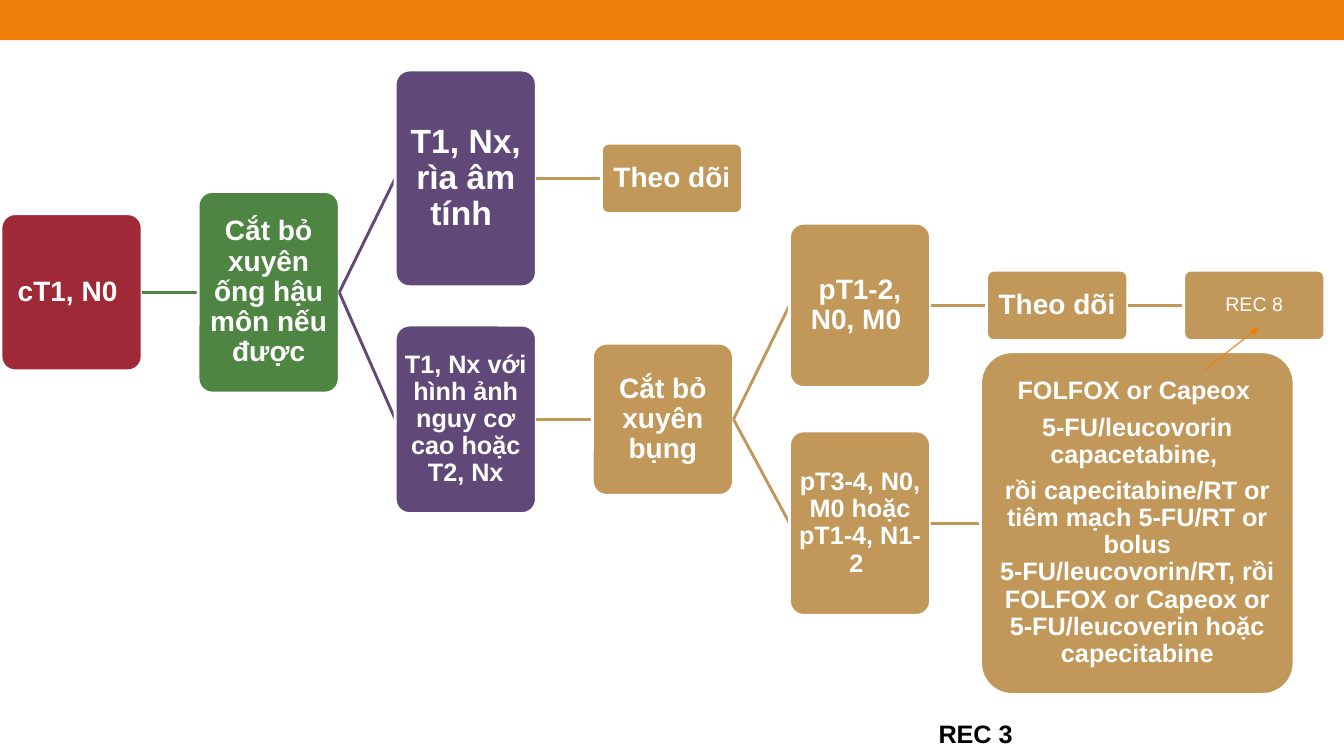
from lxml import etree
from pptx import Presentation
from pptx import util as u
from pptx.dml.color import RGBColor
from pptx.enum import shapes, text
from pptx.oxml.ns import qn

RED, GREEN, PURPLE, TAN = "9F2936", "4E8542", "604878", "C19859"
ORANGE, WHITE, BLACK = "F07F09", "FFFFFF", "000000"
COLUMN_START, COLUMN_PITCH, BOX_WIDTH = 0.01, 1.955, 1.4
LINE_WIDTH = 2.08
TREATMENT = [
    "FOLFOX or Capeox ",
    "5-FU/leucovorin capacetabine, ",
    "rồi capecitabine/RT or tiêm mạch 5-FU/RT or bolus\v5-FU/leucovorin/RT, rồi "
    "FOLFOX or Capeox or 5-FU/leucoverin hoặc capecitabine",
]
# name: parent, column, shift, middle, width, height, margin, fill, size, bold, lines
STEPS = {
    "stage": (None, 0, 0, 2.9, BOX_WIDTH, 1.56, 0.05, RED, 20, True, ["cT1, N0 "]),
    "excision": ("stage", 1, 0, 2.9, BOX_WIDTH, 2, 0.05, GREEN, 20, True,
                 ["Cắt bỏ xuyên ống hậu môn nếu được"]),
    "low risk": ("excision", 2, 0, 1.77, BOX_WIDTH, 2.15, 0.06, PURPLE, 24, True,
                 ["T1, Nx, rìa âm tính "]),
    "low risk follow-up": ("low risk", 3, 0.09, 1.77, BOX_WIDTH, 0.7, 0.03, TAN, 20, True,
                           ["Theo dõi"]),
    "high risk": ("excision", 2, 0, 4.16, BOX_WIDTH, 1.87, 0.05, PURPLE, 18, True,
                  ["T1, Nx với hình ảnh nguy cơ cao hoặc T2, Nx"]),
    "resection": ("high risk", 3, 0, 4.16, BOX_WIDTH, 1.51, 0.05, TAN, 20, True,
                  ["Cắt bỏ xuyên bụng"]),
    "early": ("resection", 4, 0, 3.03, BOX_WIDTH, 1.63, 0.05, TAN, 20, True,
              ["pT1-2, N0, M0 "]),
    "early follow-up": ("early", 5, 0, 3.03, BOX_WIDTH, 0.7, 0.03, TAN, 20, True,
                        ["Theo dõi"]),
    "recurrence": ("early follow-up", 6, 0, 3.03, BOX_WIDTH, 0.7, 0.03, TAN, 14, False,
                   ["REC 8"]),
    "advanced": ("resection", 4, 0, 5.19, BOX_WIDTH, 1.83, 0.05, TAN, 18, True,
                 ["pT3-4, N0, M0 hoặc pT1-4, N1-2 "]),
    "treatment": ("advanced", 5, -0.06, 5.19, 3.11, 3.4, 0.1, TAN, 18, True, TREATMENT),
}
ARROW = (11.95, 3.67, 12.48, 3.25)
PAGE_LABEL = ("REC 3", 9.21, 7.08, 2.08, 0.4)


def color(value):
    return RGBColor.from_string(value)


def apply(target, values):
    for name, value in values.items():
        setattr(target, name, value)


def write(shape, lines, size, bold, ink, alignment, spacing):
    frame = shape.text_frame
    frame.word_wrap = True
    for index, line in enumerate(lines):
        paragraph = frame.add_paragraph() if index else frame.paragraphs[0]
        paragraph.text = line
        apply(paragraph, {"alignment": alignment, "line_spacing": spacing})
        if index:
            paragraph.space_before = u.Pt(size * 0.35)
        apply(paragraph.font, {"name": "Arial", "size": u.Pt(size), "bold": bold})
        paragraph.font.color.rgb = color(ink)


def add_box(slide, kind, bounds, fill):
    shape = slide.shapes.add_shape(kind, *map(u.Inches, bounds))
    shape.shadow.inherit = False
    shape.fill.solid()
    shape.fill.fore_color.rgb = color(fill)
    shape.line.fill.background()
    return shape


def add_line(slide, ends, ink, width):
    connector = slide.shapes.add_connector(shapes.MSO_CONNECTOR.STRAIGHT, *map(u.Inches, ends))
    connector.line.color.rgb = color(ink)
    connector.line.width = u.Pt(width)
    etree.SubElement(connector._element.spPr, qn("a:effectLst"))
    return connector


def left_edge(step):
    return COLUMN_START + COLUMN_PITCH * step[1] + step[2]


def add_link(slide, parent, child):
    ends = (left_edge(parent) + parent[4], parent[3], left_edge(child), child[3])
    add_line(slide, ends, child[7], LINE_WIDTH)


def add_step(slide, step):
    middle, width, height, margin, fill, size, bold, lines = step[3:]
    bounds = (left_edge(step), middle - height / 2, width, height)
    shape = add_box(slide, shapes.MSO_SHAPE.ROUNDED_RECTANGLE, bounds, fill)
    shape.adjustments[0] = 0.1
    shape.line.color.rgb = color(WHITE)
    shape.line.width = u.Pt(LINE_WIDTH)
    sides = ("margin_left", "margin_right", "margin_top", "margin_bottom")
    apply(shape.text_frame, dict.fromkeys(sides, u.Inches(margin)))
    shape.text_frame.vertical_anchor = text.MSO_ANCHOR.MIDDLE
    write(shape, lines, size, bold, WHITE, text.PP_ALIGN.CENTER, 0.9)


def main():
    presentation = Presentation()
    apply(presentation, {"slide_width": u.Inches(13.33), "slide_height": u.Inches(7.5)})
    slide = presentation.slides.add_slide(presentation.slide_layouts[6])
    add_box(slide, shapes.MSO_SHAPE.RECTANGLE, (0, 0, 13.33, 0.4), ORANGE)

    for step in STEPS.values():
        if step[0]:
            add_link(slide, STEPS[step[0]], step)
        add_step(slide, step)

    arrow = add_line(slide, ARROW, ORANGE, 0.75)
    etree.SubElement(arrow.line._get_or_add_ln(), qn("a:tailEnd"), type="triangle")

    label, *bounds = PAGE_LABEL
    box = slide.shapes.add_textbox(*map(u.Inches, bounds))
    write(box, [label], 18, True, BLACK, text.PP_ALIGN.LEFT, 1.0)
    presentation.save("out.pptx")


if __name__ == "__main__":
    main()
